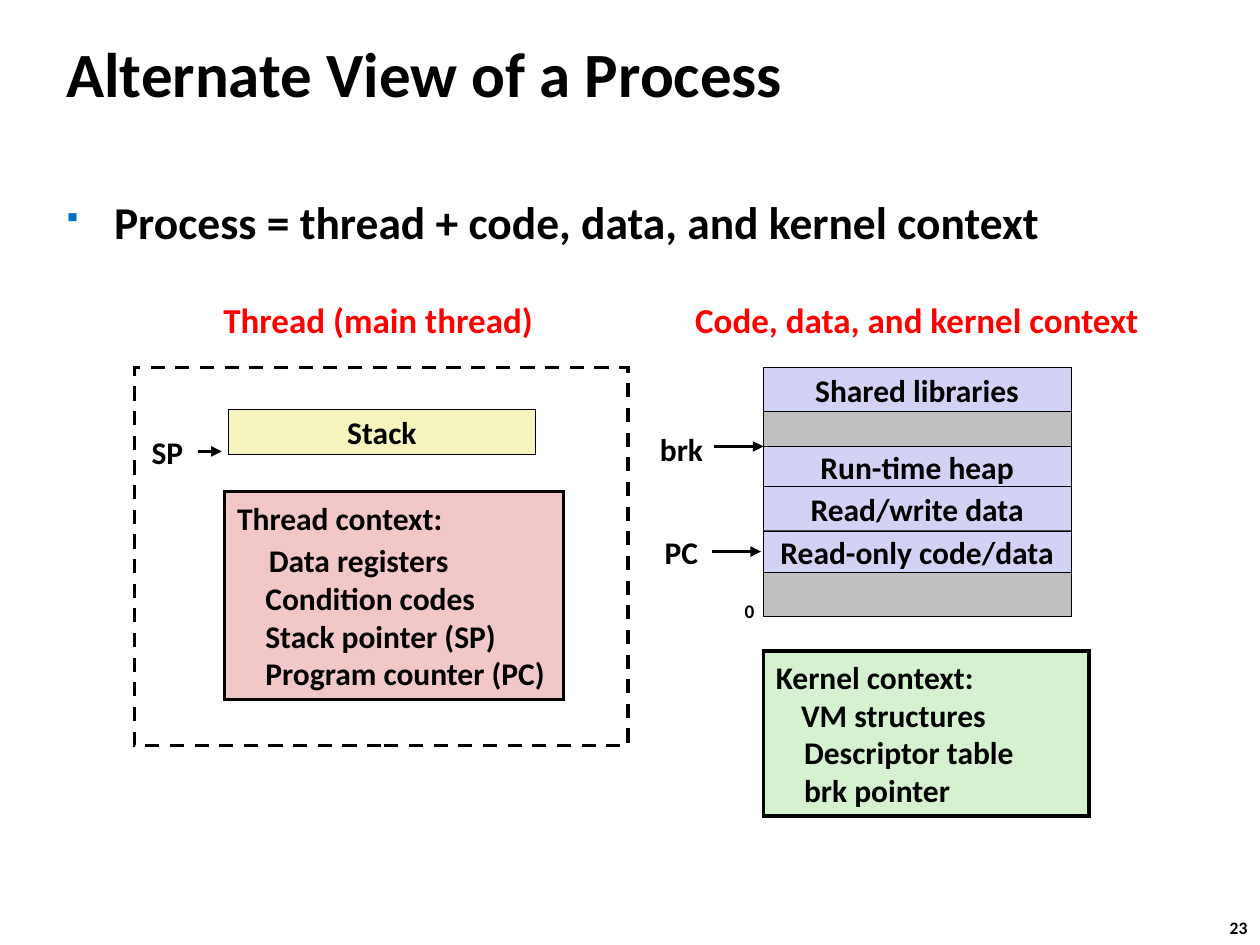
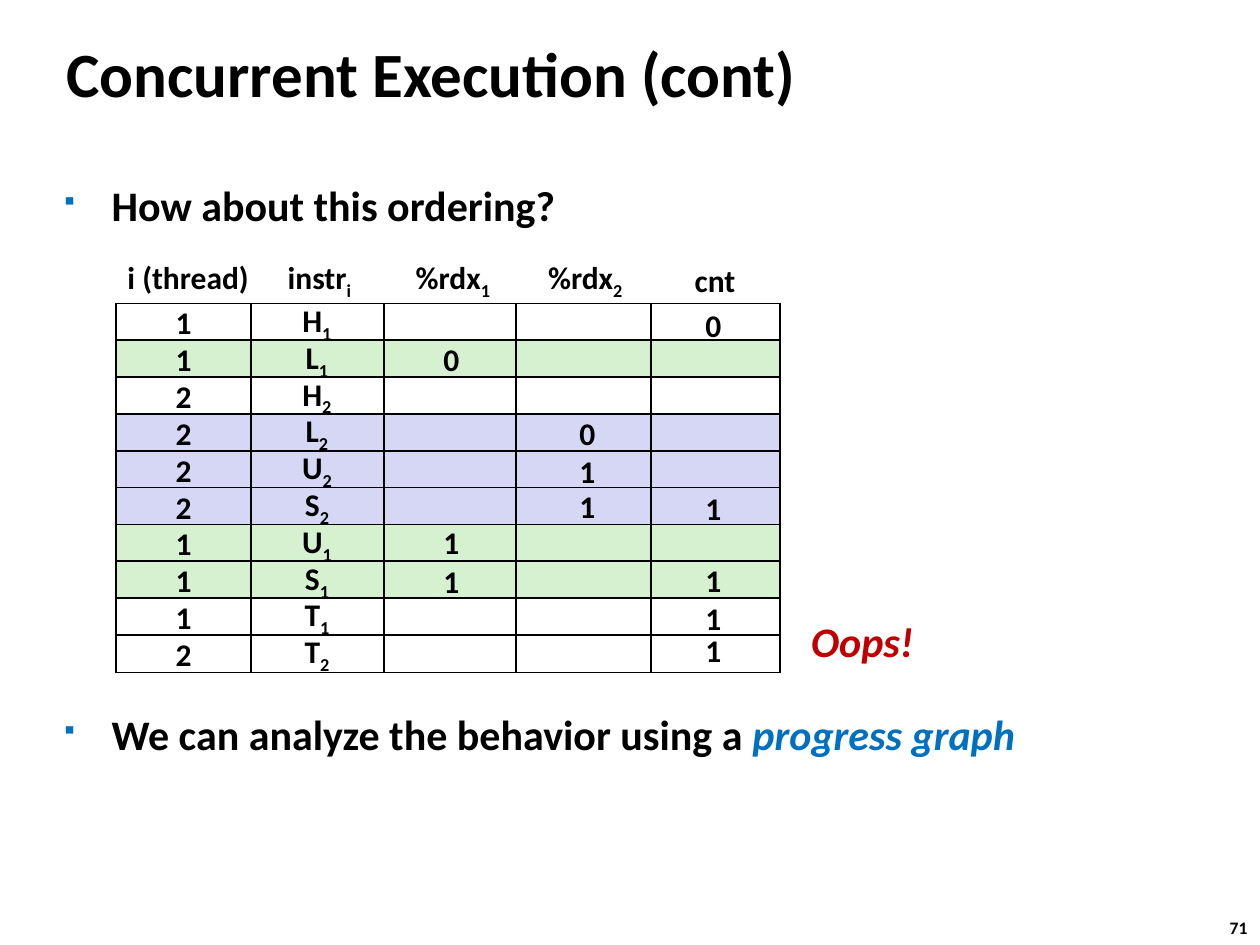
from lxml.etree import SubElement as Sub
from pptx import Presentation as Deck
from pptx.dml.color import RGBColor as Color
from pptx.enum.dml import MSO_LINE_DASH_STYLE as Dash
from pptx.enum.shapes import MSO_CONNECTOR_TYPE as Connector, MSO_AUTO_SHAPE_TYPE as Shape
from pptx.enum.text import MSO_VERTICAL_ANCHOR as Anchor, PP_PARAGRAPH_ALIGNMENT as Align
from pptx.oxml.ns import qn
from pptx.util import Cm, Pt


class Theme:
    font = "Calibri"
    black, white = "000000", "FFFFFF"
    red, alert, accent = "FF0000", "C00000", "0070C0"
    lilac, lavender, gray = "D2D2F4", "D6D6F5", "C0C0C0"
    green, pink, yellow = "D5F1CF", "F1C7C7", "F6F5BD"
    title, lead, bullet, heading, label, zero, number = 36, 26, 24, 20, 18, 11, 10
    hairline, grid, heavy = 0.25, 1, 2


def write(frame, lines, size=Theme.label, color=Theme.black, align=Align.LEFT,
          anchor=Anchor.MIDDLE, wrap=False):
    frame.vertical_anchor, frame.word_wrap = anchor, wrap
    for index, line in enumerate(lines):
        para = frame.paragraphs[0] if index == 0 else frame.add_paragraph()
        para.alignment = align
        if isinstance(line, str):
            base, _, subscript = line.partition("_")
            line = [(base, {})] + ([(subscript, {"subscript": True})] if subscript else [])
        for text, changes in line:
            span = para.add_run()
            span.text = text
            look = {"name": Theme.font, "size": Pt(size), "bold": True, "color": color} | changes
            span.font.color.rgb = Color.from_string(look.pop("color"))
            if look.pop("subscript", False):
                span._r.get_or_add_rPr().set("baseline", "-25000")
            for name, value in look.items():
                setattr(span.font, name, value)


def add_box(page, place, lines=(), fill=None, line=None, **format):
    place = [Cm(length) for length in place]
    if line is None:
        box = page.shapes.add_textbox(*place)
    else:
        box = page.shapes.add_shape(Shape.RECTANGLE, *place)
        box.shadow.inherit = False
        box.line.color.rgb = Color.from_string(Theme.black)
        box.line.width = Pt(line)
        Sub(box.line._get_or_add_ln(), qn("a:miter"), lim="800000")
        if fill:
            box.fill.solid()
            box.fill.fore_color.rgb = Color.from_string(fill)
        else:
            box.fill.background()
    write(box.text_frame, lines, **format)
    return box


deck = Deck()
deck.slide_width, deck.slide_height = Cm(25.4), Cm(19.05)

progress = [("We can analyze the behavior using a ", {}),
            ("progress graph", {"color": Theme.accent, "italic": True})]
outlines = [
    ("Alternate View of a Process", "23", Theme.lead,
     [(1.09, 3.79, "Process = thread + code, data, and kernel context")]),
    ("Concurrent Execution (cont)", "71", Theme.bullet,
     [(1.04, 3.49, "How about this ordering?"), (1.04, 14.15, progress)]),
]
pages = []
for title, number, size, bullets in outlines:
    page = deck.slides.add_slide(deck.slide_layouts[6])
    pages.append(page)
    add_box(page, (1.09, 0.41, 21.08, 2.11), [title], size=Theme.title, wrap=True)
    add_box(page, (24.54, 18.36, 0.94, 0.69), [number], size=Theme.number, anchor=Anchor.TOP)
    for left, top, line in bullets:
        box = add_box(page, (left, top, 21.95, 1.4), [line], size=size,
                      anchor=Anchor.TOP, wrap=True)
        props = box.text_frame.paragraphs[0]._p.get_or_add_pPr()
        props.set("marL", str(Cm(0.96)))
        props.set("indent", str(-Cm(0.96)))
        Sub(Sub(props, qn("a:buClr")), qn("a:srgbClr"), val=Theme.accent)
        Sub(props, qn("a:buSzPct"), val="60000")
        Sub(props, qn("a:buFont"), typeface="Wingdings", charset="2")
        Sub(props, qn("a:buChar"), char="§")

process, ordering = pages

headings = [(4.21, 6.83, "Thread (main thread)"), (13.62, 9.73, "Code, data, and kernel context")]
for left, width, text in headings:
    add_box(process, (left, 5.89, width, 1.12), [text], size=Theme.heading,
            color=Theme.red, align=Align.CENTER)

thread_frame = add_box(process, (2.71, 7.41, 9.95, 7.62), line=Theme.heavy)
thread_frame.line.dash_style = Dash.DASH
add_box(process, (4.6, 8.26, 6.2, 0.89), ["Stack"], Theme.yellow, Theme.hairline,
        align=Align.CENTER)

regions = [
    ("Shared libraries", 0.89), ("", 0.7), ("Run-time heap", 0.81),
    ("Read/write data", 0.89), ("Read-only code/data", 0.84), ("", 0.89),
]
top = 7.41
for text, height in regions:
    add_box(process, (15.39, top, 6.2, height), [text] if text else [],
            Theme.lilac if text else Theme.gray, Theme.hairline, align=Align.CENTER)
    top += height
add_box(process, (14.76, 11.96, 0.71, 0.74), ["0"], size=Theme.zero, anchor=Anchor.TOP)

contexts = [
    ((4.53, 9.91, 6.83, 4.19), Theme.pink, 0.64, 2.5,
     ["Thread context:", "Data registers", "Condition codes", "Stack pointer (SP)",
      "Program counter (PC)"]),
    ((15.39, 13.12, 6.56, 3.33), Theme.green, 0.51, 0,
     ["Kernel context:", "VM structures", "Descriptor table", "brk pointer"]),
]
for place, fill, first_indent, gap, lines in contexts:
    box = add_box(process, place, lines, fill, Theme.heavy, wrap=True)
    items = box.text_frame.paragraphs[1:]
    items[0].space_before = Pt(gap)
    for para, indent in zip(items, [first_indent] + [0.57] * len(items)):
        para._p.get_or_add_pPr().set("marL", str(Cm(indent)))

pointers = [
    ("SP", (2.79, 8.61, 1.17, 1.02), 3.99, 4.47, 9.1),
    ("PC", (13.14, 10.62, 1.19, 1.02), 14.35, 15.34, 11.12),
    ("brk", (13.04, 8.55, 1.4, 1.02), 14.4, 15.39, 9),
]
for text, place, start, end, level in pointers:
    add_box(process, place, [text], align=Align.CENTER)
    arrow = process.shapes.add_connector(Connector.STRAIGHT, Cm(start), Cm(level),
                                         Cm(end), Cm(level))
    arrow.line.color.rgb = Color.from_string(Theme.black)
    arrow.line.width = Pt(Theme.heavy)
    Sub(arrow.line._get_or_add_ln(), qn("a:tailEnd"), type="triangle")
    Sub(arrow._element.spPr, qn("a:effectLst"))

threads = "1122221112"
instructions = ["H_1", "L_1", "H_2", "L_2", "U_2", "S_2", "U_1", "S_1", "T_1", "T_2"]
tints = ([Theme.white, Theme.green, Theme.white] + [Theme.lavender] * 3
         + [Theme.green] * 2 + [Theme.white] * 2)
blanks = [""] * len(tints)
columns = [(5.03, instructions), (2.34, threads), (7.75, blanks), (13, blanks), (10.41, blanks)]
first_row, last_row = 6.12, 12.8
pitch = (last_row - first_row) / (len(tints) - 1)
for left, values in columns:
    for row, (value, tint) in enumerate(zip(values, tints)):
        add_box(ordering, (left, first_row + row * pitch, 2.72, 0.76),
                [value] if value else [], tint, Theme.grid, align=Align.CENTER, wrap=True)

captions = [(2.31, 5.08, 2.97, "i (thread)"), (5.54, 5.13, 1.8, "instr_i"),
            (8.1, 5.13, 2.06, "%rdx_1"), (10.77, 5.13, 2.06, "%rdx_2"),
            (13.74, 5.13, 1.35, "cnt")]
for left, top, width, text in captions:
    add_box(ordering, (left, top, width, 1.02), [text], align=Align.CENTER)

registers = [
    (8.69, [("0", 6.73), ("1", 10.41), ("1", 11.2)]),
    (11.43, [("0", 8.23), ("1", 8.99), ("1", 9.7)]),
    (13.97, [("0", 6.05), ("1", 9.73), ("1", 11.18), ("1", 11.96), ("1", 12.6)]),
]
for left, values in registers:
    for value, top in values:
        add_box(ordering, (left, top, 0.84, 1.02), [value], anchor=Anchor.TOP)

add_box(ordering, (16.09, 12.28, 2.59, 1.27), [[("Oops!", {"italic": True})]],
        size=Theme.bullet, color=Theme.alert, align=Align.CENTER)

deck.save("out.pptx")
